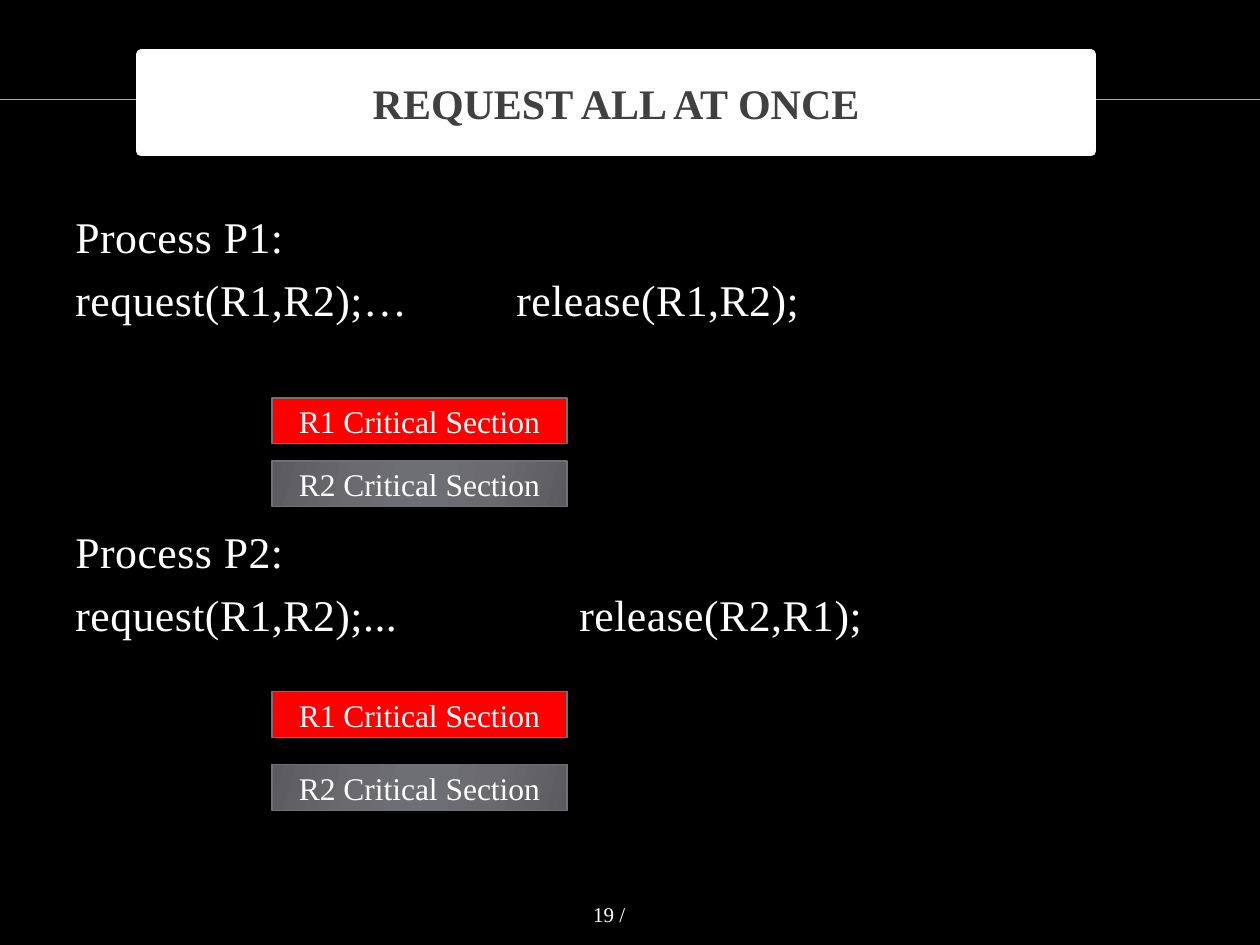
from lxml import etree
from pptx import Presentation
from pptx.dml.color import RGBColor
from pptx.enum import shapes, text
from pptx.oxml.ns import qn
from pptx.util import Pt

BLACK = RGBColor(0, 0, 0)
WHITE = RGBColor(255, 255, 255)
RED = RGBColor(255, 0, 0)
TAN = RGBColor(0xBB, 0xAA, 0x8A)
DARK = RGBColor(0x40, 0x40, 0x40)
GRAY = RGBColor(0x6F, 0x6F, 0x74)
EDGE = RGBColor(0x5B, 0x5B, 0x5F)
MID = RGBColor(0x6A, 0x6A, 0x6F)
CORE = RGBColor(0x6E, 0x6E, 0x75)
STOPS = [(0, EDGE), (30, MID), (45, CORE), (55, CORE), (73, MID), (100, EDGE)]


class Deck:
    face = "Times New Roman"

    def __init__(self, prs):
        self.slide = prs.slides.add_slide(prs.slide_layouts[5])
        self.items = self.slide.shapes
        fill = self.slide.background.fill
        fill.solid()
        fill.fore_color.rgb = BLACK

    def style(self, para, size, color=WHITE, bold=False):
        font = para.font
        font.name, font.size, font.bold = self.face, Pt(size), bold
        font.color.rgb = color

    def rule(self, x1, y1, x2, y2):
        line = self.items.add_connector(
            shapes.MSO_CONNECTOR.STRAIGHT, Pt(x1), Pt(y1), Pt(x2), Pt(y2))
        line.line.color.rgb = TAN
        line.line.width = Pt(1)
        etree.SubElement(line._element.spPr, qn("a:effectLst"))

    def title(self, words, x, y, w, h):
        box = self.items.title
        self.items._spTree.append(box._element)
        box.left, box.top, box.width, box.height = Pt(x), Pt(y), Pt(w), Pt(h)
        box.fill.solid()
        box.fill.fore_color.rgb = WHITE
        box.line.color.rgb = WHITE
        box.line.width = Pt(6)
        frame = box.text_frame
        frame.text = words
        frame.auto_size = text.MSO_AUTO_SIZE.NONE
        frame.vertical_anchor = text.MSO_ANCHOR.MIDDLE
        para = frame.paragraphs[0]
        para.alignment = text.PP_ALIGN.CENTER
        para.space_before = Pt(4)
        self.style(para, 24, DARK, True)

    def label(self, words, x, y, w, h, size):
        frame = self.items.add_textbox(Pt(x), Pt(y), Pt(w), Pt(h)).text_frame
        frame.word_wrap = True
        frame.text = words
        self.style(frame.paragraphs[0], size)

    def body(self, rows, x, y, w, h):
        frame = self.items.add_textbox(Pt(x), Pt(y), Pt(w), Pt(h)).text_frame
        frame.word_wrap = True
        for i, (words, gap) in enumerate(rows):
            para = frame.add_paragraph() if i else frame.paragraphs[0]
            run = para.add_run()
            run.text = words
            run._r.get_or_add_rPr().set("spc", "30")
            para.space_before = Pt(gap)
            para.line_spacing = Pt(30)
            self.style(para, 25)

    def shade(self, fill):
        fill.gradient()
        fill.gradient_angle = 344
        group = fill._fill._gradFill.find(qn("a:gsLst"))
        for old in list(group):
            group.remove(old)
        for place, color in STOPS:
            stop = etree.SubElement(group, qn("a:gs"), pos=str(place * 1000))
            etree.SubElement(stop, qn("a:srgbClr"), val=str(color))

    def block(self, words, x, y, w, h, color=None):
        box = self.items.add_shape(
            shapes.MSO_SHAPE.RECTANGLE, Pt(x), Pt(y), Pt(w), Pt(h))
        box.shadow.inherit = False
        if color is None:
            self.shade(box.fill)
        else:
            box.fill.solid()
            box.fill.fore_color.rgb = color
        box.line.color.rgb = GRAY
        box.line.width = Pt(0.75)
        frame = box.text_frame
        frame.text = words
        frame.margin_top = frame.margin_bottom = 0
        frame.vertical_anchor = text.MSO_ANCHOR.MIDDLE
        para = frame.paragraphs[0]
        para.alignment = text.PP_ALIGN.CENTER
        self.style(para, 18)


def main():
    prs = Presentation()
    prs.slide_width, prs.slide_height = Pt(720), Pt(540)
    deck = Deck(prs)
    deck.rule(0, 56.9, 720, 56.9)
    deck.label("19 /", 331.9, 511.9, 58.3, 21.6, 12)
    deck.body([
        ("Process P1:", 6),
        ("request(R1,R2);…\t\trelease(R1,R2);", 6),
        ("Process P2:", 114),
        ("request(R1,R2);...\t\t\trelease(R2,R1);", 6),
    ], 36, 116.6, 648, 381.6)
    deck.title("REQUEST ALL AT ONCE", 80.6, 31, 542.9, 55.4)
    for red, gray in [(227.5, 263.5), (395.3, 437)]:
        deck.block("R1 Critical Section", 155.5, red, 168.5, 26, RED)
        deck.block("R2 Critical Section", 155.5, gray, 168.5, 26)
    prs.save("out.pptx")


if __name__ == "__main__":
    main()
